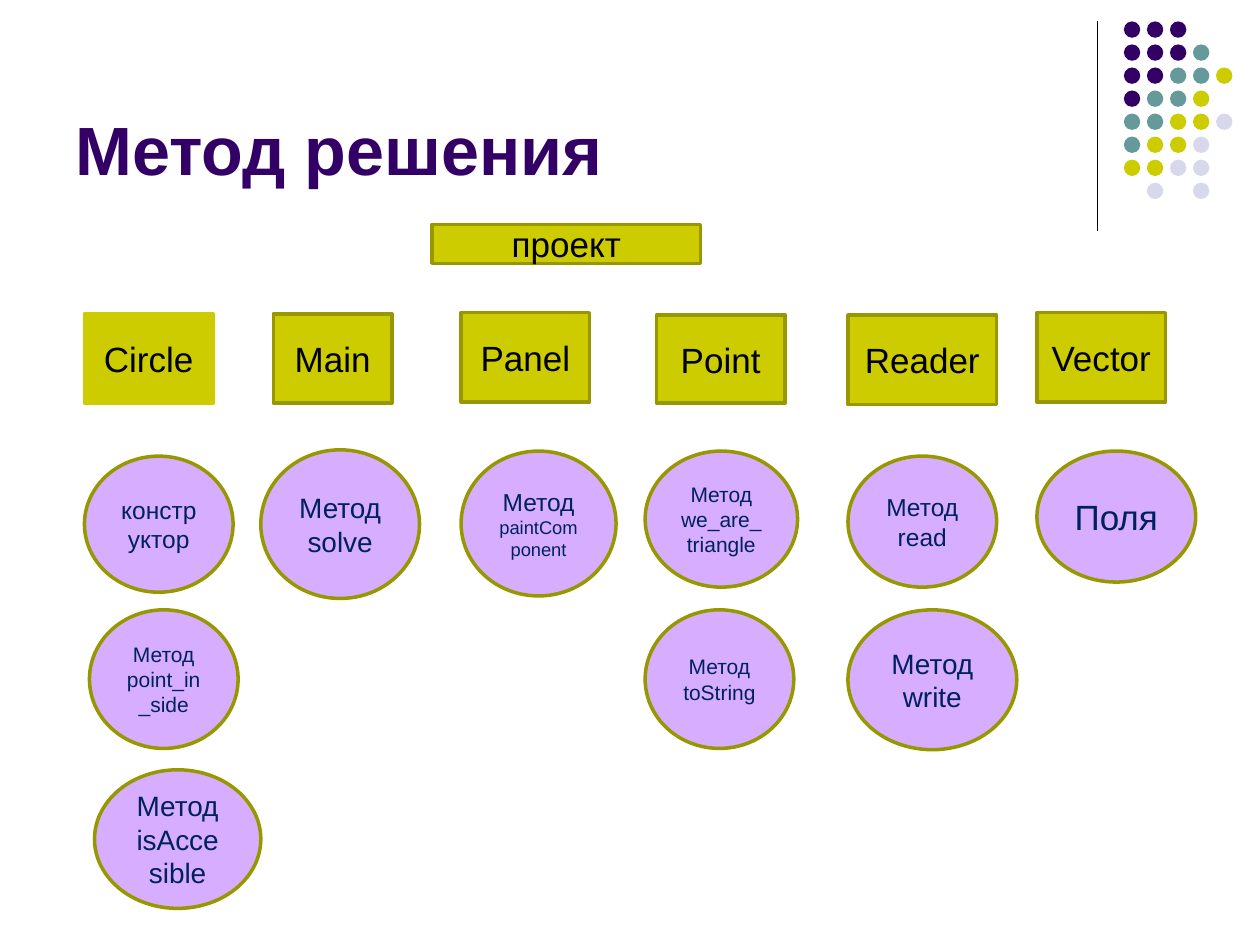
import pptx
import pptx.dml.color
import pptx.enum.shapes
import pptx.enum.text
import pptx.oxml.ns
import pptx.util
import lxml.etree

Inches = pptx.util.Inches
Pt = pptx.util.Pt
RGBColor = pptx.dml.color.RGBColor
Shape = pptx.enum.shapes.MSO_SHAPE
Anchor = pptx.enum.text.MSO_ANCHOR
Align = pptx.enum.text.PP_ALIGN

PURPLE = RGBColor(0x33, 0x00, 0x66)
TEAL = RGBColor(0x66, 0x99, 0x99)
OLIVE = RGBColor(0xCC, 0xCC, 0x00)
PALE = RGBColor(0xD8, 0xD8, 0xEC)
DARK_OLIVE = RGBColor(0x97, 0x97, 0x00)
LILAC = RGBColor(0xD6, 0xAD, 0xFF)
NAVY = RGBColor(0x00, 0x20, 0x60)
BLACK = RGBColor(0x00, 0x00, 0x00)

DOT_COLORS = {"P": PURPLE, "T": TEAL, "O": OLIVE, "L": PALE}
DOT_ROWS = ["PPP", "PPPT", "PPTTO", "PTTO", "TTOOL", "TOOL", "OOLL", " L L"]

CLASSES = [
    ("Circle", 0.67, 2.49, 1.02, 0.71, OLIVE),
    ("Main", 2.17, 2.49, 0.94, 0.71, DARK_OLIVE),
    ("Panel", 3.66, 2.48, 1.02, 0.71, DARK_OLIVE),
    ("Point", 5.21, 2.5, 1.02, 0.7, DARK_OLIVE),
    ("Reader", 6.73, 2.5, 1.18, 0.71, DARK_OLIVE),
    ("Vector", 8.23, 2.48, 1.02, 0.71, DARK_OLIVE),
]

MEMBERS = [
    ([("Поля", 20)], 8.23, 3.58, 1.26, 1.04),
    ([("Метод read", 14)], 6.73, 3.62, 1.18, 1.04),
    ([("Метод write", 16)], 6.73, 4.84, 1.34, 1.11),
    ([("Метод we_are_triangle", 12)], 5.12, 3.58, 1.21, 1.08),
    ([("Метод toString", 12)], 5.12, 4.84, 1.18, 1.1),
    ([("Метод ", 14), ("paintComponent", 10.5)], 3.66, 3.58, 1.23, 1.15),
    ([("Метод solve", 16)], 2.07, 3.57, 1.26, 1.18),
    ([("конструктор", 14)], 0.67, 3.62, 1.18, 1.08),
    ([("Метод point_in_side", 12)], 0.71, 4.84, 1.18, 1.1),
    ([("Метод isAccesible", 16)], 0.75, 6.11, 1.32, 1.1),
]


class Slide:
    font = "Arial"
    border = 2

    def __init__(self, page):
        self.page = page

    def label(self, box, spans, color, align, anchor, bold=False):
        frame = box.text_frame
        frame.word_wrap = True
        frame.vertical_anchor = anchor
        para = frame.paragraphs[0]
        para.alignment = align
        for text, size in spans:
            span = para.add_run()
            span.text = text
            span.font.name = self.font
            span.font.size = Pt(size)
            span.font.bold = bold
            span.font.color.rgb = color

    def title(self, text, left, top, width, height):
        box = self.page.shapes.add_textbox(
            Inches(left), Inches(top), Inches(width), Inches(height))
        self.label(box, [(text, 39)], PURPLE, Align.LEFT, Anchor.BOTTOM, True)

    def node(self, kind, spans, left, top, width, height, fill, line, color):
        box = self.page.shapes.add_shape(
            kind, Inches(left), Inches(top), Inches(width), Inches(height))
        box.shadow.inherit = False
        box.fill.solid()
        box.fill.fore_color.rgb = fill
        box.line.color.rgb = line
        box.line.width = Pt(self.border)
        self.label(box, spans, color, Align.CENTER, Anchor.MIDDLE)

    def rule(self, left, top, bottom):
        line = self.page.shapes.add_connector(
            pptx.enum.shapes.MSO_CONNECTOR.STRAIGHT,
            Inches(left), Inches(top), Inches(left), Inches(bottom))
        line.line.color.rgb = BLACK
        line.line.width = Pt(0.75)
        lxml.etree.SubElement(
            line._element.spPr, pptx.oxml.ns.qn("a:effectLst"))

    def dots(self, rows, left, top, size, step):
        group = self.page.shapes.add_group_shape()
        for row, codes in enumerate(rows):
            for column, code in enumerate(codes):
                if code == " ":
                    continue
                dot = group.shapes.add_shape(
                    Shape.OVAL, Inches(left + column * step),
                    Inches(top + row * step), Inches(size), Inches(size))
                dot.shadow.inherit = False
                dot.fill.solid()
                dot.fill.fore_color.rgb = DOT_COLORS[code]
                dot.line.fill.background()


def main():
    deck = pptx.Presentation()
    deck.slide_width = Inches(10)
    deck.slide_height = Inches(7.5)
    slide = Slide(deck.slides.add_slide(deck.slide_layouts[6]))

    slide.rule(8.71, 0.17, 1.83)
    slide.dots(DOT_ROWS, 8.92, 0.17, 0.13, 1.28 / 7)
    slide.title("Метод решения", 0.5, 0.13, 8.25, 1.42)
    slide.node(Shape.RECTANGLE, [("проект", 20)], 3.43, 1.78, 2.13, 0.31,
               OLIVE, DARK_OLIVE, BLACK)
    for name, left, top, width, height, line in CLASSES:
        slide.node(Shape.RECTANGLE, [(name, 20)], left, top, width, height,
                   OLIVE, line, BLACK)
    for spans, left, top, width, height in MEMBERS:
        slide.node(Shape.OVAL, spans, left, top, width, height,
                   LILAC, DARK_OLIVE, NAVY)

    deck.save("out.pptx")


if __name__ == "__main__":
    main()
